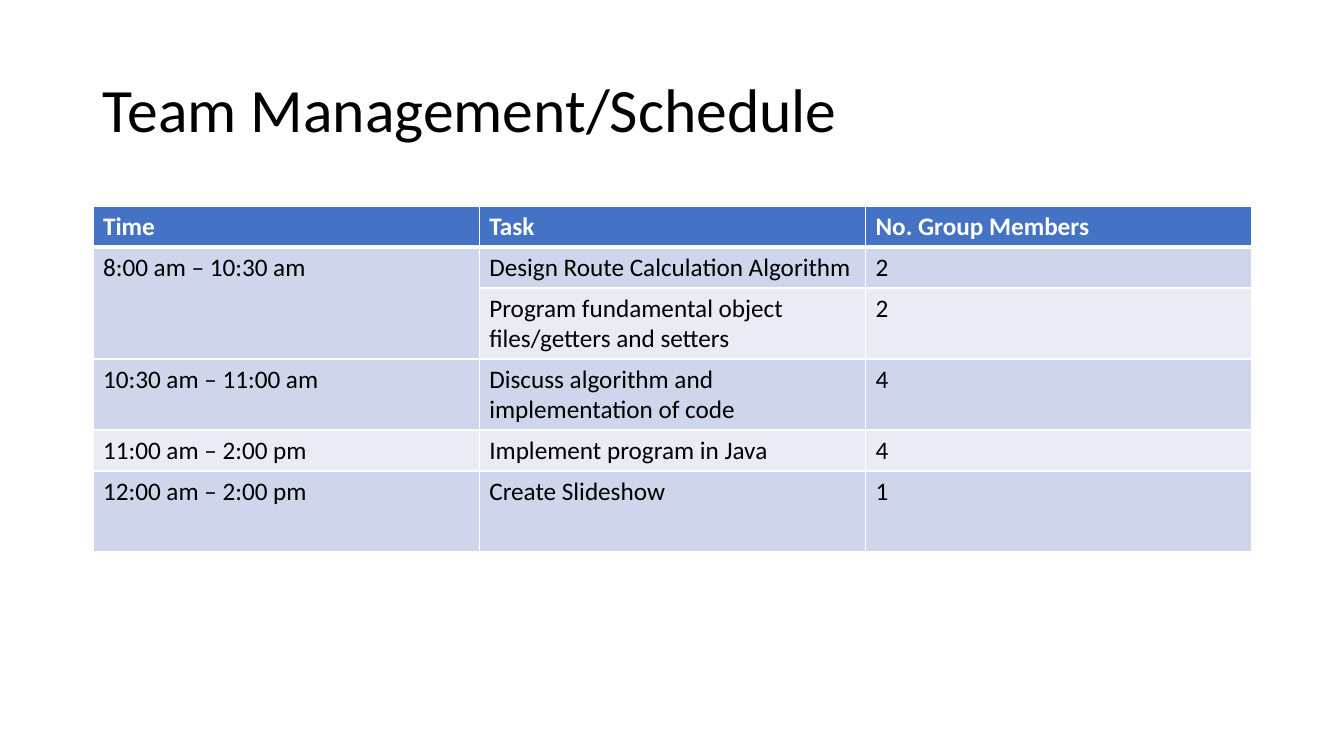
from lxml.etree import SubElement
from pptx import Presentation
from pptx.dml.color import RGBColor
from pptx.enum.text import MSO_ANCHOR as Anchor
from pptx.oxml.ns import qn
from pptx.util import Pt

PX = 914400 / 100.8


def px(n):
    return round(n * PX)


def rgb(value):
    return RGBColor.from_string(value)


class Deck:
    """Holds the style and the current slide, and adds elements to it."""

    font, ink, paper = "Calibri", "000000", "FFFFFF"
    head, bands = "4472C4", ("CFD5EA", "E9EBF5")

    def __init__(self, width, height):
        self.prs = Presentation()
        self.prs.slide_width, self.prs.slide_height = px(width), px(height)
        self.s = self.prs.slides.add_slide(self.prs.slide_layouts[6])

    def run(self, p, text, size, color, bold=False):
        r = p.add_run()
        r.text = text
        f = r.font
        f.name, f.size, f.bold = self.font, Pt(size), bold
        f.color.rgb = rgb(color)

    def title(self, text, x, y, w, h):
        tf = self.s.shapes.add_textbox(*map(px, (x, y, w, h))).text_frame
        tf.word_wrap = True
        tf.vertical_anchor = Anchor.MIDDLE
        p = tf.paragraphs[0]
        p.line_spacing = 0.9
        self.run(p, text, 44, self.ink)

    def border(self, cell, side, width):
        ln = SubElement(cell._tc.get_or_add_tcPr(), qn(f"a:ln{side}"), w=str(Pt(width)))
        fill = SubElement(ln, qn("a:solidFill"))
        SubElement(fill, qn("a:srgbClr"), val=self.paper)

    def cell(self, cell, text, row):
        header = row == 0
        widths = {"L": 1, "R": 1, "T": 3 if row == 1 else 1, "B": 3 if header else 1}
        for side, width in widths.items():
            self.border(cell, side, width)
        cell.fill.solid()
        cell.fill.fore_color.rgb = rgb(self.head if header else self.bands[(row - 1) % 2])
        if text:
            color = self.paper if header else self.ink
            self.run(cell.text_frame.paragraphs[0], text, 18, color, header)

    def table(self, rows, heights, x, y, w):
        box = map(px, (x, y, w, sum(heights)))
        t = self.s.shapes.add_table(len(rows), len(rows[0]), *box).table
        for i, (texts, height) in enumerate(zip(rows, heights)):
            t.rows[i].height = px(height)
            for j, text in enumerate(texts):
                self.cell(t.cell(i, j), text, i)
        return t


SCHEDULE = [
    ("Time", "Task", "No. Group Members"),
    ("8:00 am – 10:30 am", "Design Route Calculation Algorithm", "2"),
    ("", "Program fundamental object files/getters and setters", "2"),
    ("10:30 am – 11:00 am", "Discuss algorithm and implementation of code", "4"),
    ("11:00 am – 2:00 pm", "Implement program in Java", "4"),
    ("12:00 am – 2:00 pm", "Create Slideshow", "1"),
]

deck = Deck(1344, 756)
deck.title("Team Management/Schedule", 93, 40, 1159, 146)
schedule = deck.table(SCHEDULE, (41, 41, 71, 71, 41, 81), 93, 206, 1159)
schedule.cell(1, 0).merge(schedule.cell(2, 0))
deck.prs.save("out.pptx")
